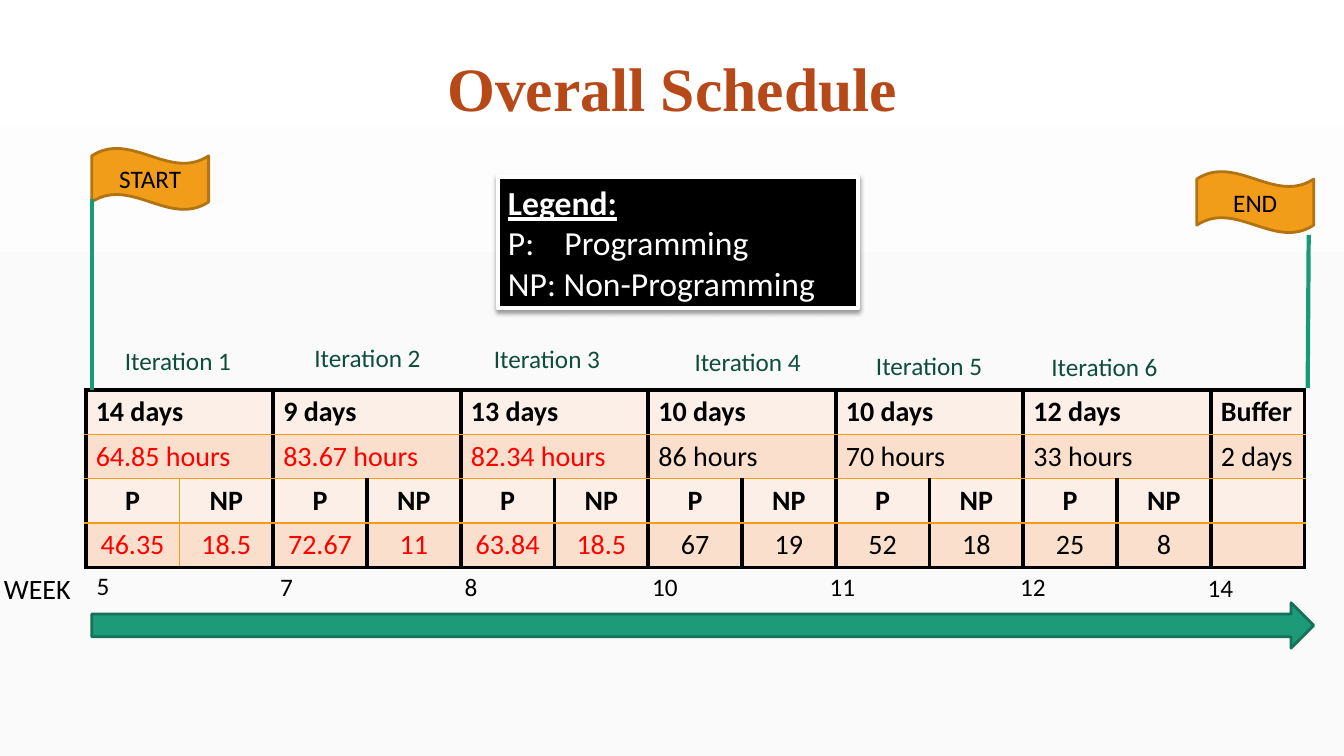
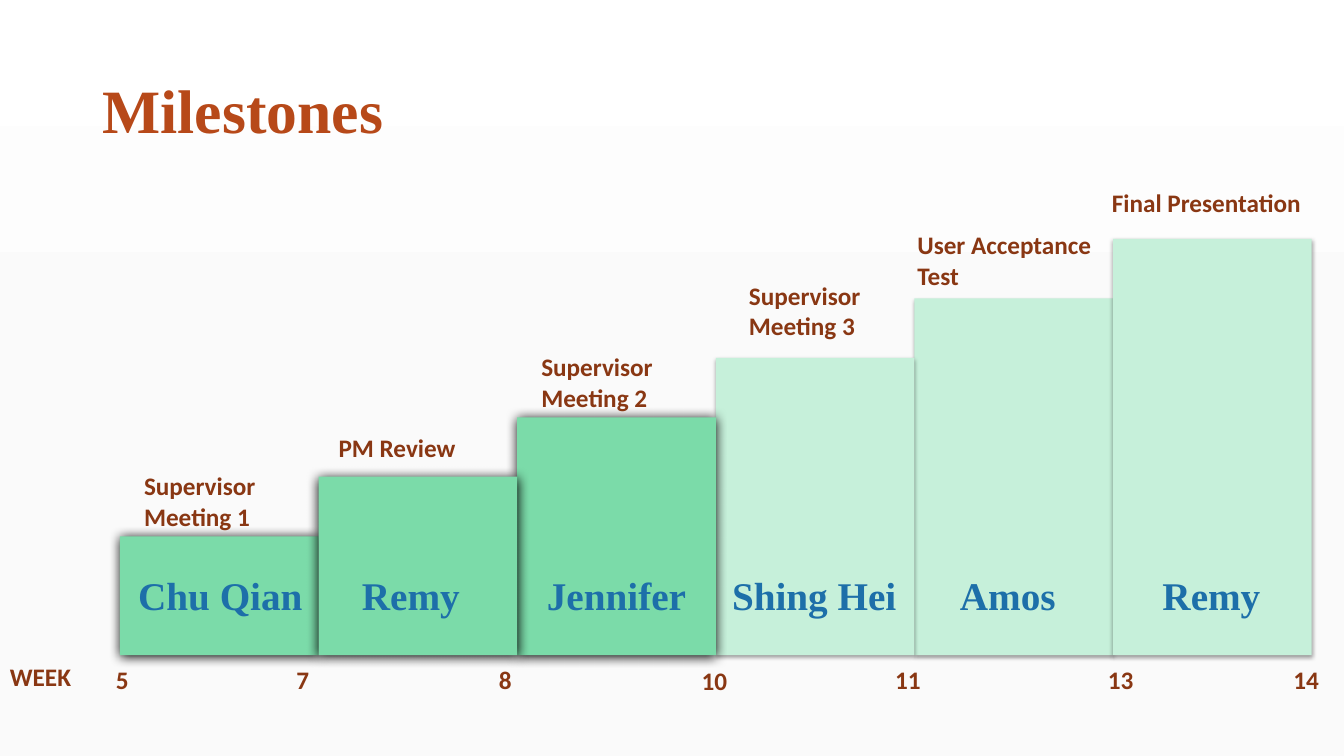
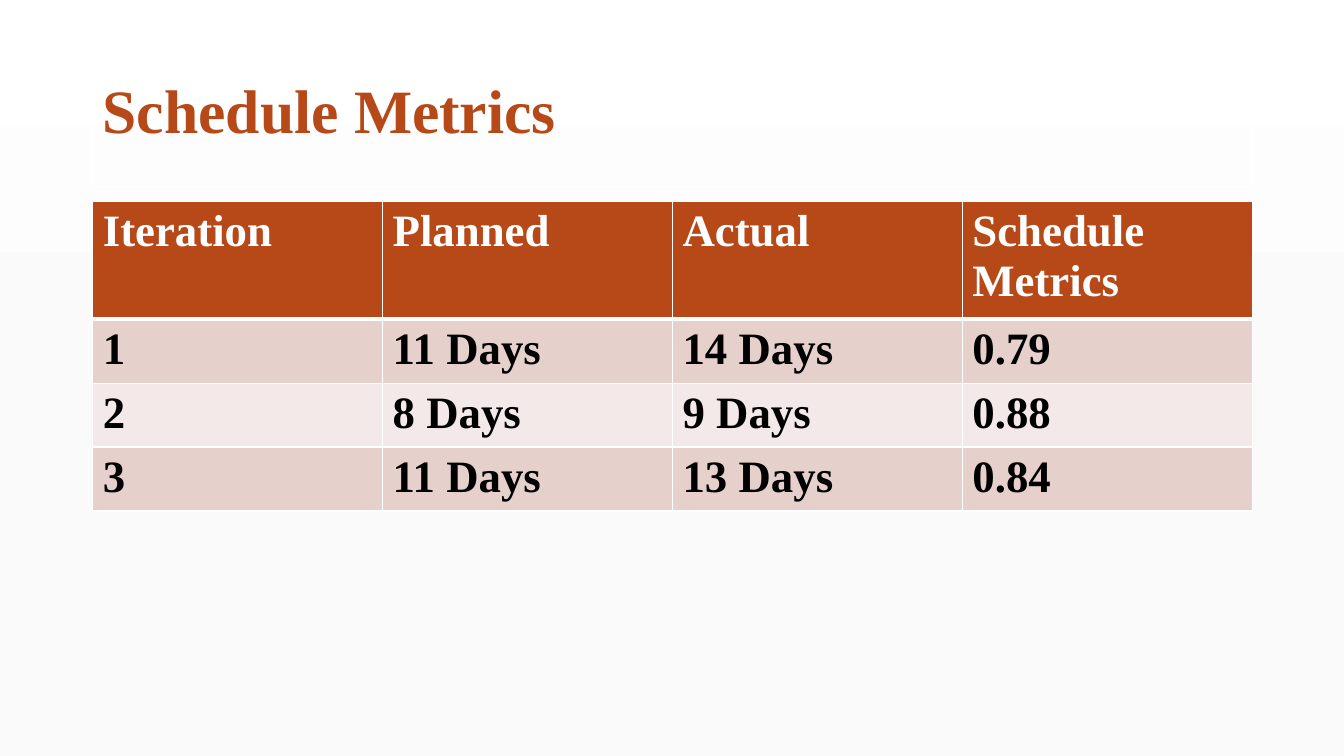
from lxml import etree
from pptx import Presentation
from pptx import util as u
from pptx.dml.color import RGBColor
from pptx.enum import shapes, text
from pptx.oxml import ns


class Theme:
    serif, sans = "Times New Roman", "Calibri"
    title, grid, name, key, cell, note = 44, 32, 28, 24, 20, 18
    black, white, red = "000000", "FFFFFF", "FF0000"
    rust, brown, blue = "B74919", "893713", "1D6FA9"
    gold, amber = "F19D19", "B27412"
    teal, pine, moss, pole = "1D9A78", "157259", "0E4D3C", "199A77"
    mint, pale, fog = "7BDBA9", "C6F0DA", "FAFAFA"
    peach = ("FCEFE8", "FADFCC")
    rose = ("E6D0CC", "F3E9E8")
    soft, deep = (38, 3.1, 1.6), (100, 8.5, 1)


MID, LEFT = text.PP_ALIGN.CENTER, text.PP_ALIGN.LEFT
KIND = shapes.MSO_SHAPE


def rgb(code):
    return RGBColor.from_string(code)


def node(parent, tag, **attrs):
    return etree.SubElement(parent, ns.qn(tag), {k: str(v) for k, v in attrs.items()})


def box(x, y, w, h):
    return [u.Inches(v) for v in (x, y, w, h)]


def write(frame, words, size=Theme.note, color=Theme.black, bold=False,
          font=Theme.sans, align=LEFT, space=None):
    for i, line in enumerate(words.split("\n")):
        para = frame.paragraphs[0] if i == 0 else frame.add_paragraph()
        para.alignment = align
        para.line_spacing = space
        run = para.add_run()
        run.text = line
        run.font.size = u.Pt(size)
        run.font.name = font
        run.font.bold = bold
        run.font.color.rgb = rgb(color)


def label(slide, words, x, y, w, h, wrap=True, mid=False, **style):
    item = slide.shapes.add_textbox(*box(x, y, w, h))
    frame = item.text_frame
    frame.word_wrap = wrap
    if mid:
        frame.vertical_anchor = text.MSO_ANCHOR.MIDDLE
    write(frame, words, **style)
    return item


def title(slide, words, top=0.4, align=LEFT):
    return label(slide, words, 0.92, top, 11.5, 1.45, mid=True, size=Theme.title,
                 color=Theme.rust, bold=True, font=Theme.serif, align=align, space=0.9)


def shape(slide, kind, x, y, w, h, fill, line=None, width=2, shade=None):
    item = slide.shapes.add_shape(kind, *box(x, y, w, h))
    item.fill.solid()
    item.fill.fore_color.rgb = rgb(fill)
    if line:
        item.line.color.rgb = rgb(line)
        item.line.width = u.Pt(width)
    else:
        item.line.fill.background()
    item.shadow.inherit = False
    if shade:
        alpha, blur, dist = shade
        effect = item._element.spPr.find(ns.qn("a:effectLst"))
        outer = node(effect, "a:outerShdw", blurRad=u.Pt(blur), dist=u.Pt(dist),
                     dir=90 * 60000, algn="t", rotWithShape=0)
        node(node(outer, "a:srgbClr", val=Theme.black), "a:alpha", val=alpha * 1000)
    return item


def flag(slide, words, x, y):
    item = shape(slide, KIND.WAVE, x, y, 1.16, 0.61, Theme.gold, Theme.amber)
    write(item.text_frame, words, align=MID)


def mast(slide, *ends):
    line = slide.shapes.add_connector(shapes.MSO_CONNECTOR.STRAIGHT,
                                      *[u.Inches(v) for v in ends])
    line.line.color.rgb = rgb(Theme.pole)
    line.line.width = u.Pt(3)
    node(line._element.spPr, "a:effectLst")


def table(slide, x, y, widths, heights, tall):
    item = slide.shapes.add_table(len(heights), len(widths),
                                  *box(x, y, sum(widths), tall))
    grid = item.table
    grid.first_row = grid.horz_banding = False
    for col, size in zip(grid.columns, widths):
        col.width = u.Inches(size)
    for row, size in zip(grid.rows, heights):
        row.height = u.Inches(size)
    item.height = u.Inches(tall)
    return grid


def paint(cell, fill, **edges):
    cell.fill.solid()
    cell.fill.fore_color.rgb = rgb(fill)
    props = cell._tc.get_or_add_tcPr()
    for i, side in enumerate("LRTB"):
        color, width = edges[side]
        line = node(props, "a:ln" + side, w=u.Pt(width))
        node(node(line, "a:solidFill"), "a:srgbClr", val=color)
        props.insert(i, line)


def weeks(slide, marks, **style):
    for words, x, y, w in marks:
        label(slide, words, x, y, w, 0.4, **style)


def hours(slide):
    groups = [("14 days", "64.85 hours", "46.35", "18.5"),
              ("9 days", "83.67 hours", "72.67", "11"),
              ("13 days", "82.34 hours", "63.84", "18.5"),
              ("10 days", "86 hours", "67", "19"),
              ("10 days", "70 hours", "52", "18"),
              ("12 days", "33 hours", "25", "8")]
    grid = table(slide, 0.85, 3.87, [0.93] * 13, [0.44] * 4, 1.73)
    thick, thin = (Theme.black, 3), (Theme.gold, 1)
    for r in range(4):
        for c in range(13):
            paint(grid.cell(r, c), Theme.peach[r % 2],
                  L=thin if r > 1 and c == 1 else thick,
                  R=thin if r > 1 and c == 0 else thick,
                  T=thick if r == 0 else thin,
                  B=thick if r == 3 else thin)
    for g, (days, total, prog, other) in enumerate(groups):
        c = 2 * g
        color = Theme.red if g < 3 else Theme.black
        for r in range(2):
            grid.cell(r, c).merge(grid.cell(r, c + 1))
        for r, k, words, style in [
                (0, c, days, dict(bold=True)),
                (1, c, total, dict(color=color)),
                (2, c, "P", dict(bold=True, align=MID)),
                (2, c + 1, "NP", dict(bold=True, align=MID)),
                (3, c, prog, dict(color=color, align=MID)),
                (3, c + 1, other, dict(color=color, align=MID))]:
            write(grid.cell(r, k).text_frame, words, size=Theme.cell, **style)
    write(grid.cell(0, 12).text_frame, "Buffer", size=Theme.cell, bold=True)
    write(grid.cell(1, 12).text_frame, "2 days", size=Theme.cell)


def legend(slide):
    item = shape(slide, KIND.RECTANGLE, 4.94, 1.75, 3.57, 1.31, Theme.black,
                 Theme.white, 3, Theme.soft)
    write(item.text_frame, "Legend:\nP:\tProgramming\nNP: Non-Programming",
          size=Theme.key, color=Theme.white)
    head, prog, _ = item.text_frame.paragraphs
    head.runs[0].font.bold = head.runs[0].font.underline = True
    tabs = node(prog._p.get_or_add_pPr(), "a:tabLst")
    node(tabs, "a:tab", pos=u.Inches(0.56), algn="l")


def schedule(slide):
    title(slide, "Overall Schedule", 0.18, MID)
    hours(slide)
    shape(slide, KIND.RIGHT_ARROW, 0.91, 5.98, 12.12, 0.45, Theme.teal, Theme.pine)
    flag(slide, "START", 0.91, 1.47)
    flag(slide, "END", 11.87, 1.7)
    mast(slide, 0.91, 1.97, 0.91, 3.87)
    mast(slide, 12.98, 2.33, 12.97, 3.85)
    spots = [(1.14, 3.38), (3.02, 3.35), (4.8, 3.36),
             (6.79, 3.39), (8.59, 3.43), (10.33, 3.44)]
    for i, (x, y) in enumerate(spots, 1):
        label(slide, f"Iteration {i}", x, y, 1.5, 0.4, color=Theme.moss)
    label(slide, "WEEK", -0.06, 5.62, 0.97, 0.44, size=Theme.cell)
    weeks(slide, [("5", 0.86, 5.61, 0.43), ("7", 2.68, 5.62, 0.43),
                  ("8", 4.51, 5.62, 0.43), ("10", 6.37, 5.62, 0.46),
                  ("11", 8.13, 5.62, 0.52), ("12", 10.02, 5.62, 0.52),
                  ("14", 11.88, 5.63, 0.52)])
    legend(slide)


def stones(slide):
    wide, step, base = 1.97, 0.59, 6.5
    for i in (4, 3, 2, 0, 1, 5):
        tall = step * (i + 2)
        done = i < 3
        shape(slide, KIND.RECTANGLE, 1.19 + wide * i, base - tall, wide, tall,
              Theme.mint if done else Theme.pale,
              shade=Theme.deep if done else Theme.soft)
    title(slide, "Milestones")
    note = dict(color=Theme.brown, bold=True)
    for words, x, y, w, h in [
            ("Supervisor\nMeeting 1", 1.33, 4.62, 1.79, 0.71),
            ("PM Review", 3.26, 4.24, 1.37, 0.4),
            ("Supervisor\nMeeting 2", 5.27, 3.44, 1.82, 0.71),
            ("Supervisor\nMeeting 3", 7.33, 2.73, 1.82, 0.71),
            ("User Acceptance Test", 9, 2.23, 2.17, 0.71),
            ("Final Presentation", 10.93, 1.81, 2.17, 0.4)]:
        label(slide, words, x, y, w, h, **note)
    weeks(slide, [("WEEK", 0, 6.51, 0.97), ("5", 1.05, 6.54, 0.29),
                  ("7", 2.84, 6.54, 0.29), ("8", 4.85, 6.54, 0.29),
                  ("10", 6.86, 6.55, 0.53), ("11", 8.78, 6.54, 0.54),
                  ("13", 10.89, 6.54, 0.47), ("14", 12.73, 6.54, 0.47)], **note)
    for words, x, w in [("Chu Qian", 1.21, 1.95), ("Remy", 3.44, 1.27),
                        ("Jennifer", 5.25, 1.73), ("Shing Hei", 7.07, 2.01),
                        ("Amos", 9.35, 1.29), ("Remy", 11.38, 1.27)]:
        label(slide, words, x, 5.62, w, 0.57, wrap=False, size=Theme.name,
              color=Theme.blue, bold=True, font=Theme.serif, align=MID)


def metrics(slide):
    head = title(slide, "Schedule Metrics")
    head.line.color.rgb = rgb(Theme.white)
    head.line.width = u.Pt(0.75)
    rows = [("Iteration", "Planned", "Actual", "Schedule Metrics"),
            ("1", "11 Days", "14 Days", "0.79"),
            ("2", "8 Days", "9 Days", "0.88"),
            ("3", "11 Days", "13 Days", "0.84")]
    grid = table(slide, 0.92, 2, [11.5 / 4] * 4, [1.12] + [0.32] * 3, 3.07)
    thin, thick = (Theme.white, 1), (Theme.white, 3)
    for r, row in enumerate(rows):
        fill = Theme.rose[(r - 1) % 2] if r else Theme.rust
        for c, words in enumerate(row):
            cell = grid.cell(r, c)
            paint(cell, fill, L=thin, R=thin, T=thick if r == 1 else thin,
                  B=thin if r else thick)
            write(cell.text_frame, words, size=Theme.grid, bold=True,
                  font=Theme.serif, color=Theme.black if r else Theme.white)


def backdrop(master):
    fill = master.background.fill
    fill.gradient()
    fill.gradient_angle = 270
    stops = [(0, Theme.white), (0.5, Theme.fog)]
    for stop, (place, color) in zip(fill.gradient_stops, stops):
        stop.position = place
        stop.color.rgb = rgb(color)


def main():
    deck = Presentation()
    deck.slide_width, deck.slide_height = u.Inches(13.33), u.Inches(7.5)
    backdrop(deck.slide_master)
    for draw in (schedule, stones, metrics):
        draw(deck.slides.add_slide(deck.slide_layouts[6]))
    deck.save("out.pptx")


main()
